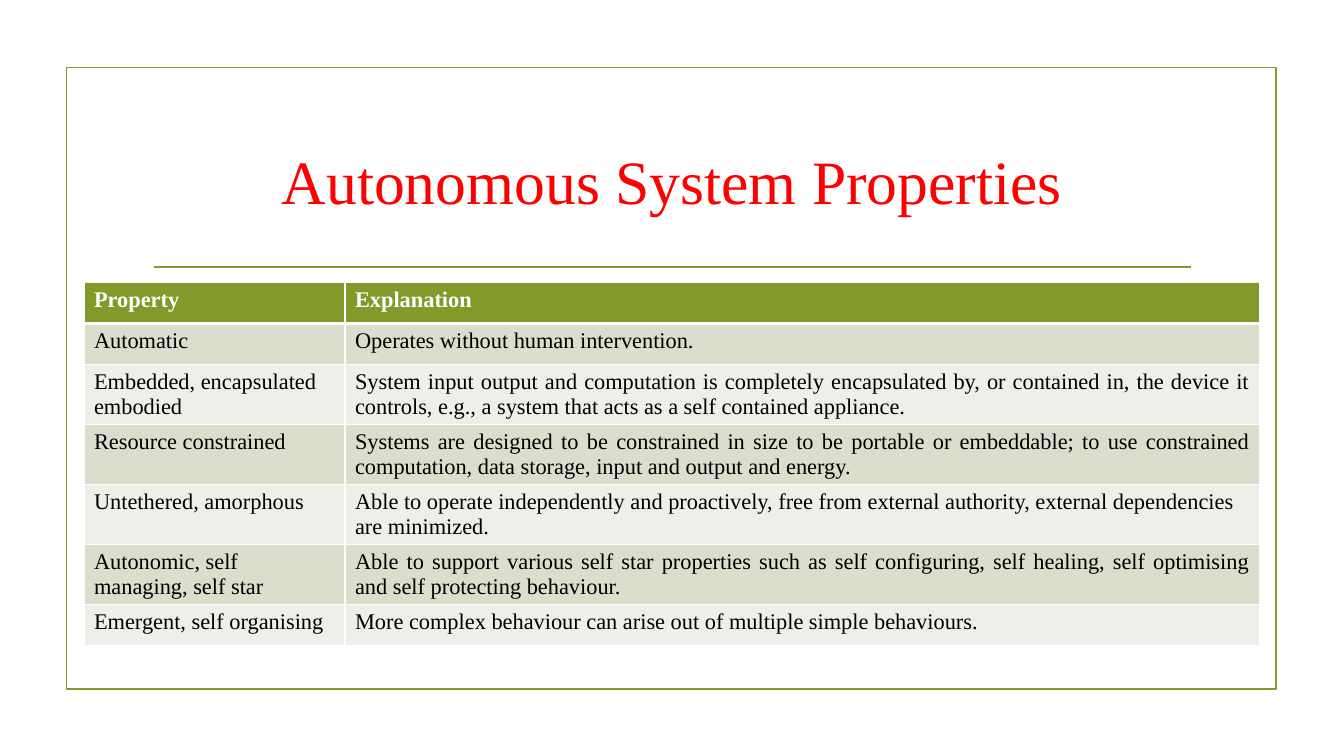
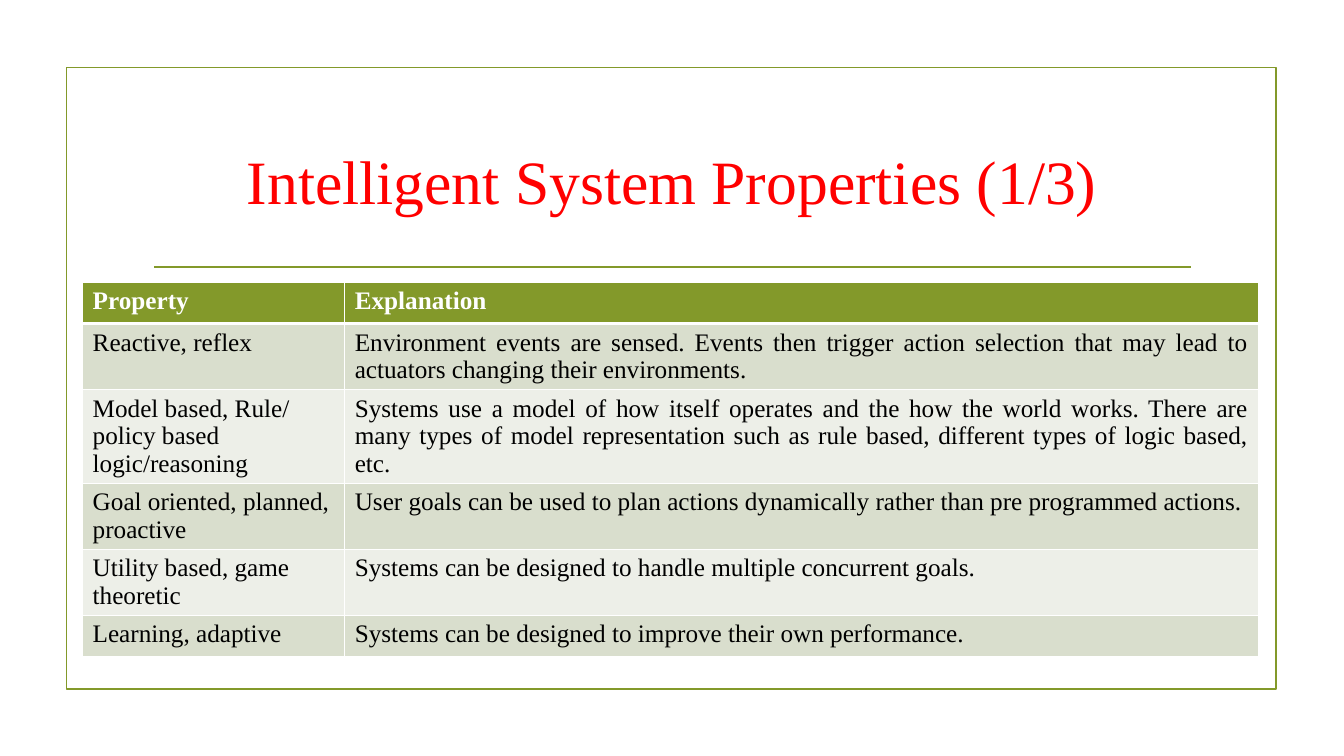
import pptx
import pptx.dml.color
import pptx.enum.shapes
import pptx.enum.text
import pptx.oxml
import pptx.oxml.ns
import pptx.util

Pt = pptx.util.Pt
Align = pptx.enum.text.PP_ALIGN

SLIDE_WIDTH = pptx.util.Inches(13.33)
SLIDE_HEIGHT = pptx.util.Inches(7.5)
FONT = "Times New Roman"
COLORS = {
    "accent": "83992A",
    "title": "FF0000",
    "white": "FFFFFF",
    "text": "000000",
    "odd_row": "D9DECD",
    "even_row": "EDEFE8",
}
RULE_WIDTH = Pt(1.25)
GRID_WIDTH, HEADER_RULE_WIDTH = 1, 3
ROW_SHARE = 5.47
TABLE_TOP = 37.33
TABLE_WIDTH = 87.5

HEADER = ("Property", "Explanation", Align.LEFT)
AUTONOMOUS = [
    HEADER,
    ("Automatic", "Operates without human intervention.", Align.LEFT),
    ("Embedded, encapsulated embodied",
     "System input output and computation is completely encapsulated by, or contained in, "
     "the device it controls, e.g., a system that acts as a self contained appliance.",
     Align.JUSTIFY),
    ("Resource constrained",
     "Systems are designed to be constrained in size to be portable or embeddable; "
     "to use constrained computation, data storage, input and output and energy.",
     Align.JUSTIFY),
    ("Untethered, amorphous",
     "Able to operate independently and proactively, free from external authority, "
     "external dependencies are minimized.", Align.LEFT),
    ("Autonomic, self managing, self star",
     "Able to support various self star properties such as self configuring, self healing, "
     "self optimising and self protecting behaviour.", Align.JUSTIFY),
    ("Emergent, self organising",
     "More complex behaviour can arise out of multiple simple behaviours.", Align.LEFT),
]
INTELLIGENT = [
    HEADER,
    ("Reactive, reflex",
     "Environment events are sensed. Events then trigger action selection that may lead to "
     "actuators changing their environments.", Align.JUSTIFY),
    ("Model based, Rule/ policy based logic/reasoning",
     "Systems use a model of how itself operates and the how the world works. There are many "
     "types of model representation such as rule based, different types of logic based, etc.",
     Align.JUSTIFY),
    ("Goal oriented, planned, proactive",
     "User goals can be used to plan actions dynamically rather than pre programmed actions.",
     Align.LEFT),
    ("Utility based, game theoretic",
     "Systems can be designed to handle multiple concurrent goals.", Align.LEFT),
    ("Learning, adaptive",
     "Systems can be designed to improve their own performance.", Align.LEFT),
]


def across(percent):
    return round(SLIDE_WIDTH * percent / 100)


def down(percent):
    return round(SLIDE_HEIGHT * percent / 100)


def color(name):
    return pptx.dml.color.RGBColor.from_string(COLORS[name])


def write(frame, text, size, color_name, align, bold=False):
    paragraph = frame.paragraphs[0]
    paragraph.alignment = align
    run = paragraph.add_run()
    run.text = text
    run.font.name = FONT
    run.font.size = Pt(size)
    run.font.bold = bold
    run.font.color.rgb = color(color_name)


def style_rule(line):
    line.color.rgb = color("accent")
    line.width = RULE_WIDTH


def add_border_and_rule(slide):
    border = slide.shapes.add_shape(
        pptx.enum.shapes.MSO_SHAPE.RECTANGLE,
        across(4.95), down(8.93), across(90), down(82.27))
    border.shadow.inherit = False
    border.fill.background()
    style_rule(border.line)

    rule = slide.shapes.add_connector(
        pptx.enum.shapes.MSO_CONNECTOR.STRAIGHT,
        across(11.48), down(35.33), across(88.6), down(35.33))
    style_rule(rule.line)
    rule._element.spPr.append(pptx.oxml.parse_xml(
        f'<a:effectLst {pptx.oxml.ns.nsdecls("a")}/>'))


def set_title(slide, text):
    title = slide.shapes.title
    title.left, title.top = across(10.65), down(14.27)
    title.width, title.height = across(78.75), down(19.07)
    frame = title.text_frame
    frame.word_wrap = True
    frame.auto_size = pptx.enum.text.MSO_AUTO_SIZE.NONE
    frame.vertical_anchor = pptx.enum.text.MSO_ANCHOR.MIDDLE
    write(frame, text, 44, "title", Align.CENTER)


def set_borders(cell, top, bottom):
    """Outline a cell in white; must run before the cell gets its fill."""
    properties = cell._tc.get_or_add_tcPr()
    sides = {"L": GRID_WIDTH, "R": GRID_WIDTH, "T": top, "B": bottom}
    for side, width in sides.items():
        properties.append(pptx.oxml.parse_xml(
            f'<a:ln{side} {pptx.oxml.ns.nsdecls("a")} w="{Pt(width)}">'
            f'<a:solidFill><a:srgbClr val="{COLORS["white"]}"/></a:solidFill>'
            f'</a:ln{side}>'))


def row_fill(row):
    if row == 0:
        return "accent"
    return "odd_row" if row % 2 else "even_row"


def add_property_table(slide, rows, left, property_share, size):
    table = slide.shapes.add_table(
        len(rows), 2, across(left), down(TABLE_TOP),
        across(TABLE_WIDTH), down(ROW_SHARE * len(rows))).table
    table.columns[0].width = across(property_share)
    table.columns[1].width = across(TABLE_WIDTH - property_share)

    for row, (name, explanation, align) in enumerate(rows):
        table.rows[row].height = down(ROW_SHARE)
        is_header = row == 0
        top = HEADER_RULE_WIDTH if row == 1 else GRID_WIDTH
        bottom = HEADER_RULE_WIDTH if is_header else GRID_WIDTH
        entries = ((name, Align.LEFT), (explanation, align))
        for column, (text, text_align) in enumerate(entries):
            cell = table.cell(row, column)
            set_borders(cell, top, bottom)
            cell.fill.solid()
            cell.fill.fore_color.rgb = color(row_fill(row))
            write(cell.text_frame, text, size,
                  "white" if is_header else "text", text_align, is_header)


def add_property_slide(deck, title, rows, left, property_share, size):
    slide = deck.slides.add_slide(deck.slide_layouts.get_by_name("Title Only"))
    add_border_and_rule(slide)
    set_title(slide, title)
    add_property_table(slide, rows, left, property_share, size)


def main():
    deck = pptx.Presentation()
    deck.slide_width, deck.slide_height = SLIDE_WIDTH, SLIDE_HEIGHT
    add_property_slide(deck, "Autonomous System Properties", AUTONOMOUS,
                       left=6.25, property_share=19.42, size=16)
    add_property_slide(deck, "Intelligent System Properties (1/3)", INTELLIGENT,
                       left=6.15, property_share=19.5, size=18)
    deck.save("out.pptx")


if __name__ == "__main__":
    main()
